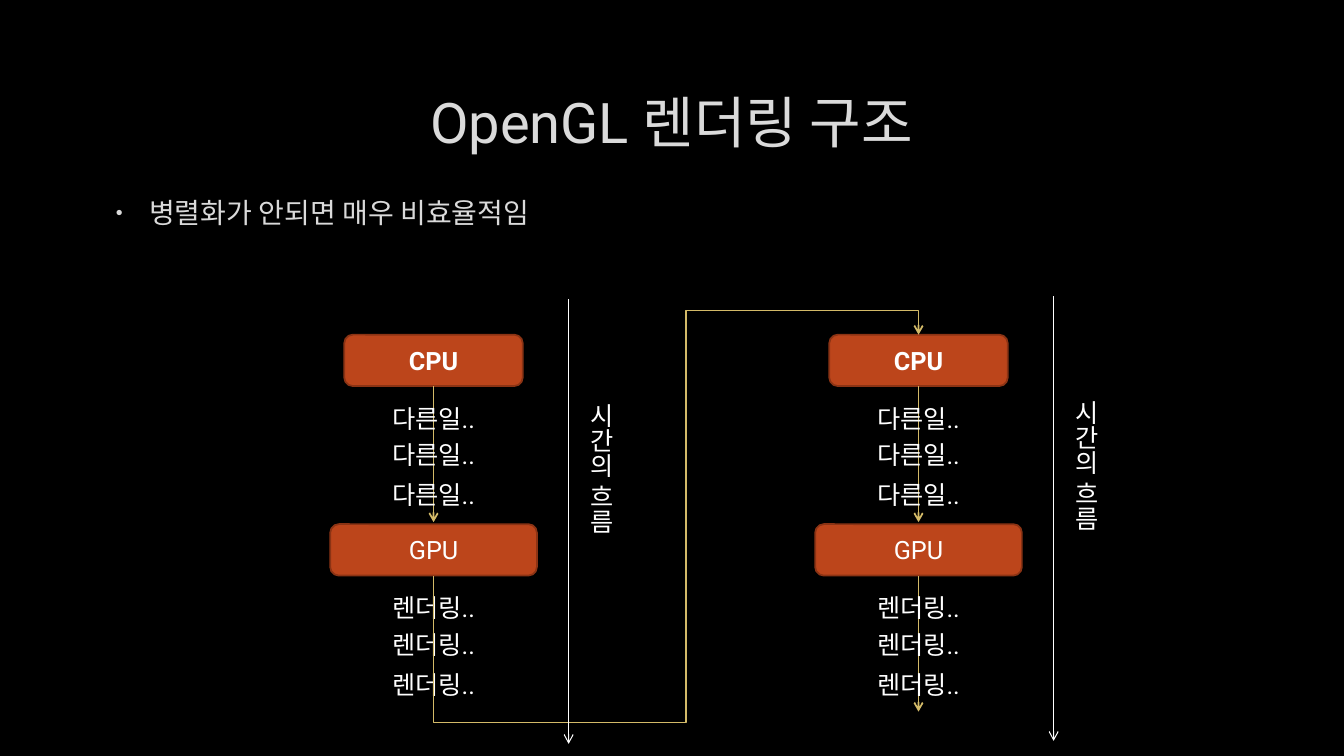
import pptx
import pptx.util
import pptx.dml.color
import pptx.enum.shapes
import pptx.enum.text
import pptx.oxml
import pptx.oxml.ns

Pt = pptx.util.Pt
ALIGN = pptx.enum.text.PP_ALIGN
ANCHOR = pptx.enum.text.MSO_ANCHOR
CONNECTOR = pptx.enum.shapes.MSO_CONNECTOR
qn = pptx.oxml.ns.qn

COLUMNS, ROWS = 13.33, 7.5  # square grid cells of one inch
COLORS = {
    "background": "000000",
    "heading": "DADADA",
    "white": "FFFFFF",
    "box": "BC451B",
    "border": "8B3314",
    "flow": "D3BA68",
}


def color(name):
    return pptx.dml.color.RGBColor.from_string(COLORS[name])


def element(tag, **attributes):
    node = pptx.oxml.parse_xml(f"<{tag} {pptx.oxml.ns.nsdecls('a')}/>")
    for name, value in attributes.items():
        node.set(name, str(value))
    return node


class Page:
    """Holds the style and the current slide."""

    font = "Roboto"

    def __init__(self, deck):
        self.cell = pptx.util.Inches(1)
        deck.slide_width, deck.slide_height = self.grid(COLUMNS, ROWS)
        self.slide = deck.slides.add_slide(deck.slide_layouts[5])
        self.shapes = self.slide.shapes
        fill = self.slide.background.fill
        fill.solid()
        fill.fore_color.rgb = color("background")

    def grid(self, *cells):
        return [round(cell * self.cell) for cell in cells]

    def set_text(self, shape, text, size=18, ink="white", bold=False,
                 align=ALIGN.CENTER, **frame_format):
        frame = shape.text_frame
        for name, value in frame_format.items():
            setattr(frame, name, value)
        para = frame.paragraphs[0]
        para.alignment = align
        span = para.add_run()
        span.text = text
        for name, value in {"name": self.font, "size": Pt(size), "bold": bold}.items():
            setattr(span.font, name, value)
        span.font.color.rgb = color(ink)
        return para

    def title(self, text, *place):
        holder = self.shapes.title
        for name, value in zip(("left", "top", "width", "height"), self.grid(*place)):
            setattr(holder, name, value)
        self.set_text(holder, text, 40, "heading", vertical_anchor=ANCHOR.MIDDLE)

    def bullet(self, text, *place):
        box = self.shapes.add_textbox(*self.grid(*place))
        para = self.set_text(box, text, 20, "heading", align=ALIGN.LEFT, word_wrap=True)
        para.space_before, para.space_after = Pt(4), Pt(6)
        properties = para._p.get_or_add_pPr()
        margin, indent = self.grid(0.38, -0.33)
        properties.set("marL", str(margin))
        properties.set("indent", str(indent))
        bullet_color = element("a:buClr")
        bullet_color.append(element("a:srgbClr", val=COLORS["heading"]))
        properties.append(bullet_color)
        properties.append(element("a:buSzPct", val=70000))
        properties.append(element("a:buFont", typeface="Arial"))
        properties.append(element("a:buChar", char="•"))

    def label(self, text, *place, vertical=False):
        box = self.shapes.add_textbox(*self.grid(*place))
        self.set_text(box, text, align=ALIGN.LEFT if vertical else ALIGN.CENTER,
                      word_wrap=vertical,
                      auto_size=pptx.enum.text.MSO_AUTO_SIZE.SHAPE_TO_FIT_TEXT)
        if vertical:
            box.text_frame._txBody.bodyPr.set("vert", "eaVert")

    def processor(self, text, center, top, width, bold=False):
        box = self.shapes.add_shape(
            pptx.enum.shapes.MSO_SHAPE.ROUNDED_RECTANGLE,
            *self.grid(center - width / 2, top, width, BOX_HEIGHT))
        box.shadow.inherit = False
        box.fill.solid()
        box.fill.fore_color.rgb = color("box")
        box.line.color.rgb = color("border")
        box.line.width = Pt(1.25)
        self.set_text(box, text, bold=bold, vertical_anchor=ANCHOR.MIDDLE)
        return box

    def arrow(self, *ends, ink="flow", width=1.25, kind=CONNECTOR.STRAIGHT, source=None):
        line = self.shapes.add_connector(kind, *self.grid(*ends))
        if source is not None:
            line.begin_connect(source, 2)
        line.line.color.rgb = color(ink)
        line.line.width = Pt(width)
        properties = line._element.spPr
        properties.find(qn("a:ln")).append(element("a:tailEnd", type="arrow"))
        properties.append(element("a:effectLst"))
        return line

    def loop_arrow(self, start_x, start_y, end_x, end_y, *bends):
        """Five-part elbow that leaves downwards: a quarter turn about its centre."""
        middle_x, middle_y = (start_x + end_x) / 2, (start_y + end_y) / 2
        half_width, half_height = (start_y - end_y) / 2, (end_x - start_x) / 2
        line = self.arrow(middle_x + half_width, middle_y + half_height,
                          middle_x - half_width, middle_y - half_height,
                          kind=CONNECTOR.ELBOW)
        properties = line._element.spPr
        properties.find(qn("a:xfrm")).set("rot", str(90 * 60000))
        shape = properties.find(qn("a:prstGeom"))
        shape.set("prst", "bentConnector5")
        guides = shape.find(qn("a:avLst"))
        if guides is None:
            guides = element("a:avLst")
            shape.append(guides)
        for number, share in enumerate(bends, 1):
            guides.append(element("a:gd", name=f"adj{number}",
                                  fmla=f"val {round(share * 100000)}"))


# Layout of the two frames
CENTERS = (4.3, 9.11)
BOX_HEIGHT = 0.51
CPU_TOP, GPU_TOP = 3.32, 5.2
ARROW_LENGTH = 1.35
TASK_OFFSETS = (0.12, 0.48, 0.88)
TIME_TOPS = (2.97, 2.94)


def main():
    deck = pptx.Presentation()
    page = Page(deck)
    page.title("OpenGL 렌더링 구조", 1, 0.67, 11.32, 1.06)
    page.bullet("병렬화가 안되면 매우 비효율적임", 1, 1.89, 11.32, 4.44)

    # Processors with their tasks; the first GPU leads on to the next CPU
    stages = (("CPU", CPU_TOP, 1.77, True, "다른일.."),
              ("GPU", GPU_TOP, 2.05, False, "렌더링.."))
    for center in CENTERS:
        for name, top, width, bold, task in stages:
            box = page.processor(name, center, top, width, bold)
            bottom = top + BOX_HEIGHT
            if name == "CPU" or center == CENTERS[-1]:
                page.arrow(center, bottom, center, bottom + ARROW_LENGTH, source=box)
            for offset in TASK_OFFSETS:
                page.label(task, center - 0.55, bottom + offset, 1.1, 0.4)
    page.loop_arrow(CENTERS[0], GPU_TOP + BOX_HEIGHT, CENTERS[1], CPU_TOP,
                    -0.61, 0.52, 1.1)

    # Time axes
    for center, top in zip(CENTERS, TIME_TOPS):
        axis = center + 1.34
        page.arrow(axis, top, axis, top + 4.41, ink="white", width=0.75)
        page.label("시간의 흐름", axis + 0.02, top + 0.93, 0.5, 2.36, vertical=True)

    deck.save("out.pptx")


if __name__ == "__main__":
    main()
